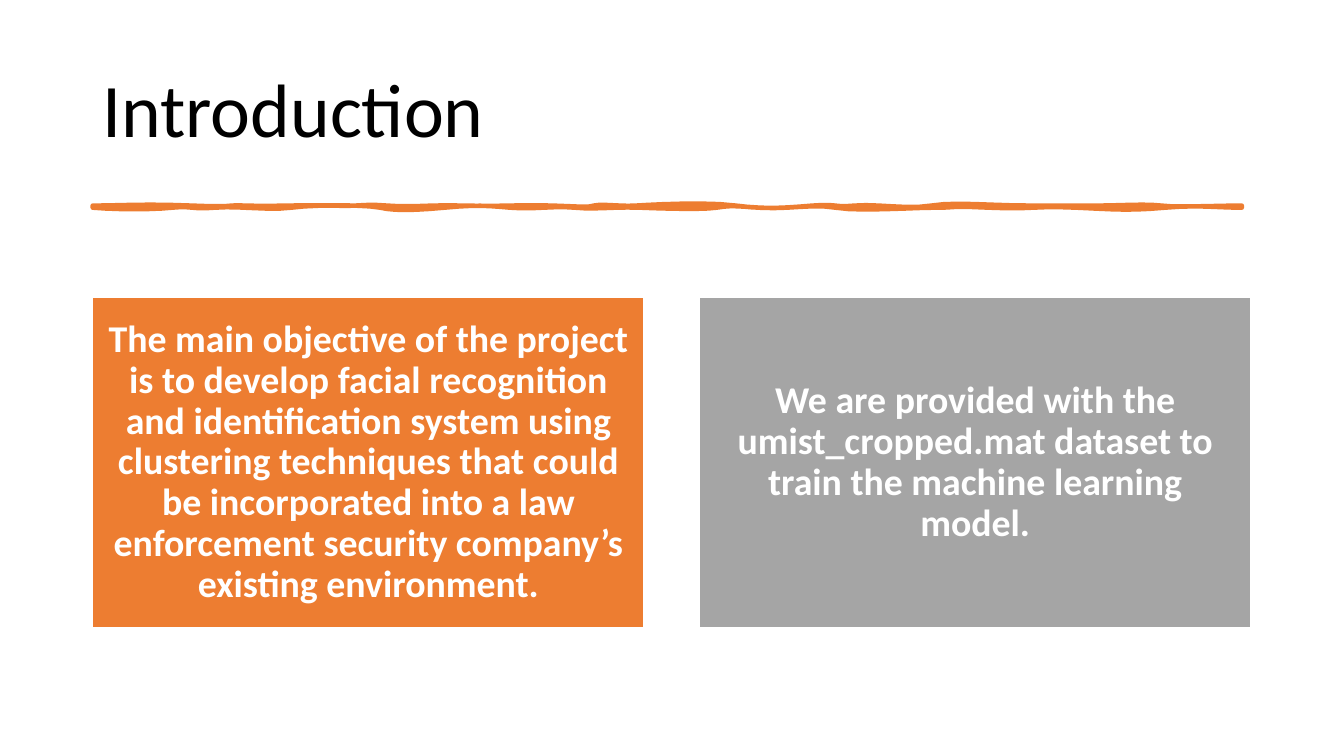
from pptx import Presentation
from pptx.dml.color import RGBColor
from pptx.enum.shapes import MSO_SHAPE
from pptx.enum.text import MSO_ANCHOR, PP_ALIGN
from pptx.util import Pt

RECTANGLE = MSO_SHAPE.RECTANGLE
MIDDLE = MSO_ANCHOR.MIDDLE
LEFT, CENTER = PP_ALIGN.LEFT, PP_ALIGN.CENTER

BLACK, WHITE, ORANGE, GRAY = "000000", "FFFFFF", "ED7D31", "A5A5A5"

CARDS = [
    ("The main objective of the project is to develop facial recognition and "
     "identification system using clustering techniques that could be incorporated "
     "into a law enforcement security company’s existing environment.", ORANGE),
    ("We are provided with the umist_cropped.mat dataset to train the machine "
     "learning model.", GRAY),
]
CARD_LEFT, CARD_TOP, CARD_WIDTH, CARD_HEIGHT, CARD_GAP = 66.24, 212.4, 393.84, 236.16, 39.6

RULE_UNIT = 0.72
RULE_LEFT, RULE_TOP, RULE_BOTTOM = 92, 204, 206
RULE_STEPS = 6
TOP_WAVES = [
    (119, 204, 144, 202, 190), (237, 206, 220, 203, 244), (267, 205, 303, 203, 331),
    (360, 205, 359, 202, 384), (410, 206, 423, 203, 460), (498, 205, 514, 203, 548),
    (581, 205, 581, 206, 589), (598, 202, 615, 205, 631), (647, 203, 701, 200, 730),
    (759, 208, 781, 206, 806), (831, 202, 827, 206, 848), (868, 202, 901, 208, 924),
    (947, 200, 982, 204, 1023), (1063, 204, 1063, 204, 1087),
    (1112, 204, 1136, 202, 1152), (1168, 206, 1203, 204, 1232),
]
BOTTOM_WAVES = [
    (1205, 206, 1189, 203, 1156), (1122, 209, 1110, 208, 1068),
    (1027, 204, 1023, 208, 981), (939, 204, 952, 206, 928), (904, 206, 851, 210, 829),
    (806, 202, 782, 208, 753), (724, 204, 725, 204, 711), (698, 208, 661, 207, 635),
    (609, 205, 590, 208, 570), (551, 204, 528, 208, 506), (483, 204, 473, 203, 441),
    (409, 209, 390, 209, 377), (363, 203, 310, 203, 289), (268, 209, 235, 204, 213),
    (192, 208, 189, 204, 171), (154, 208, 114, 208, 92),
]


def color(value):
    """Return the colour for a hex string."""
    return RGBColor.from_string(value)


def wave_points(start, level, waves):
    """Return points along cubic waves that begin and end at one level."""
    points = [(start, level)]
    for x1, y1, x2, y2, end in waves:
        for step in range(1, RULE_STEPS + 1):
            t = step / RULE_STEPS
            weights = ((1 - t) ** 3, 3 * t * (1 - t) ** 2, 3 * t * t * (1 - t), t ** 3)
            points.append((
                sum(w * x for w, x in zip(weights, (start, x1, x2, end))),
                sum(w * y for w, y in zip(weights, (level, y1, y2, level))),
            ))
        start = end
    return points


class SlideBuilder:
    """Holds the text style and the slide being built."""

    def __init__(self, presentation):
        """Add a title-only slide."""
        self.font = "Calibri"
        self.line_spacing = 0.9
        self.slide = presentation.slides.add_slide(presentation.slide_layouts[5])

    def set_text(self, shape, text, size, text_color, alignment, bold=False):
        """Set and format the text of a shape."""
        frame = shape.text_frame
        frame.text = text
        frame.word_wrap = True
        frame.vertical_anchor = MIDDLE
        paragraph = frame.paragraphs[0]
        paragraph.alignment = alignment
        paragraph.line_spacing = self.line_spacing
        font = paragraph.runs[0].font
        font.name, font.size, font.bold = self.font, Pt(size), bold
        font.color.rgb = color(text_color)

    def paint(self, shape, fill, line, width):
        """Fill and outline a shape."""
        shape.shadow.inherit = False
        shape.fill.solid()
        shape.fill.fore_color.rgb = color(fill)
        shape.line.color.rgb = color(line)
        shape.line.width = Pt(width)

    def title(self, text, left, top, width, height):
        """Place and fill the title placeholder."""
        title = self.slide.shapes.title
        title.left, title.top = Pt(left), Pt(top)
        title.width, title.height = Pt(width), Pt(height)
        self.set_text(title, text, 54, BLACK, LEFT)

    def wavy_rule(self, points, fill):
        """Draw a hand-drawn rule as a closed outline."""
        outline = [(Pt(x * RULE_UNIT), Pt(y * RULE_UNIT)) for x, y in points]
        builder = self.slide.shapes.build_freeform(*outline[0])
        builder.add_line_segments(outline[1:], close=True)
        self.paint(builder.convert_to_shape(), fill, fill, 3.25)

    def card(self, text, fill, left, top, width, height):
        """Add a filled rectangle with bold centred text."""
        card = self.slide.shapes.add_shape(
            RECTANGLE, Pt(left), Pt(top), Pt(width), Pt(height))
        self.paint(card, fill, WHITE, 1)
        frame = card.text_frame
        frame.margin_left = frame.margin_right = Pt(8.1)
        frame.margin_top = frame.margin_bottom = Pt(8.1)
        self.set_text(card, text, 27, WHITE, CENTER, bold=True)


def main():
    """Build and save the presentation."""
    presentation = Presentation()
    presentation.slide_width, presentation.slide_height = Pt(960), Pt(540)
    builder = SlideBuilder(presentation)
    builder.title("Introduction", 66, 28.8, 828, 104.4)
    top_edge = wave_points(RULE_LEFT, RULE_TOP, TOP_WAVES)
    bottom_edge = wave_points(TOP_WAVES[-1][-1], RULE_BOTTOM, BOTTOM_WAVES)
    builder.wavy_rule(top_edge + bottom_edge, ORANGE)
    for index, (text, fill) in enumerate(CARDS):
        left = CARD_LEFT + index * (CARD_WIDTH + CARD_GAP)
        builder.card(text, fill, left, CARD_TOP, CARD_WIDTH, CARD_HEIGHT)
    presentation.save("out.pptx")


if __name__ == "__main__":
    main()
